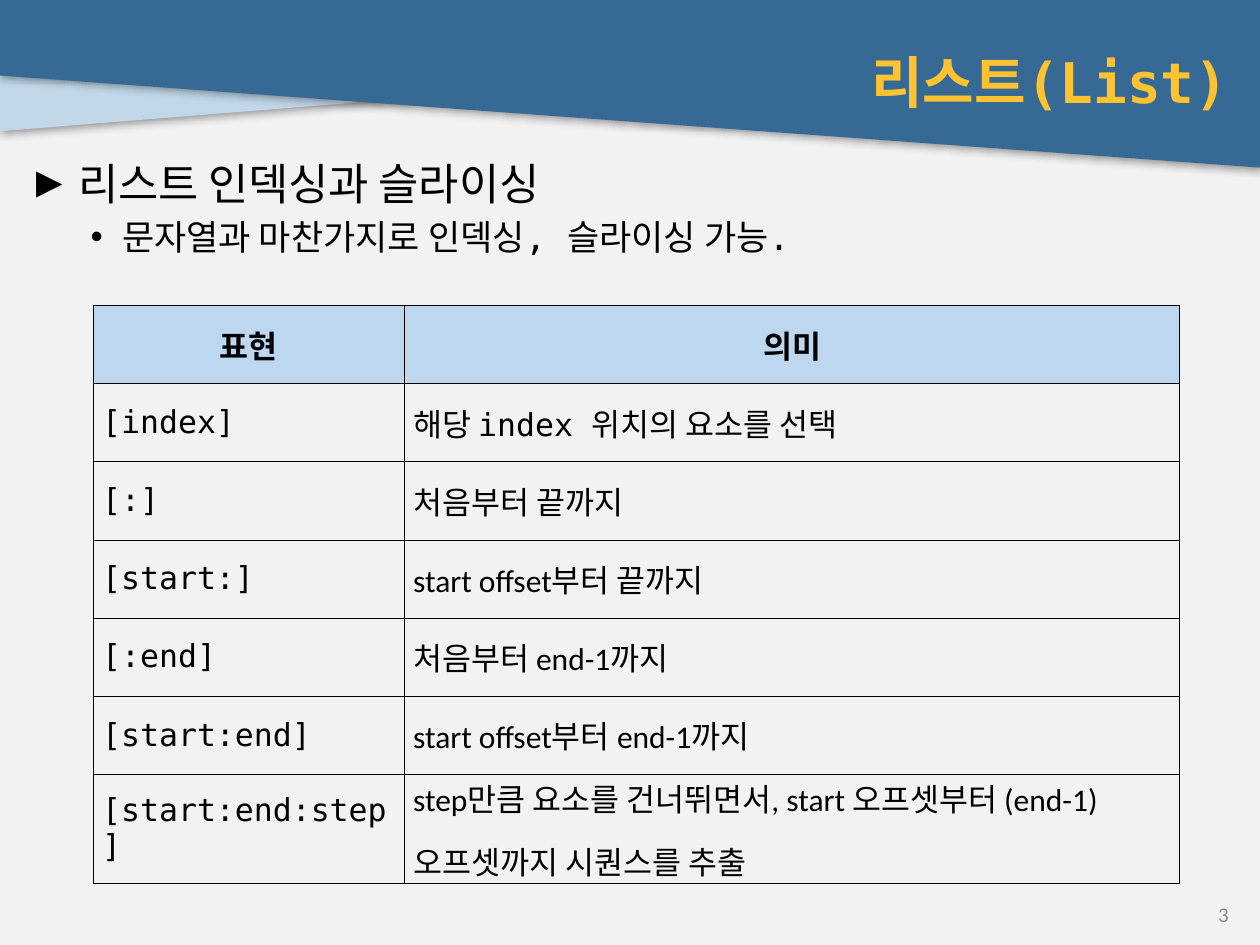
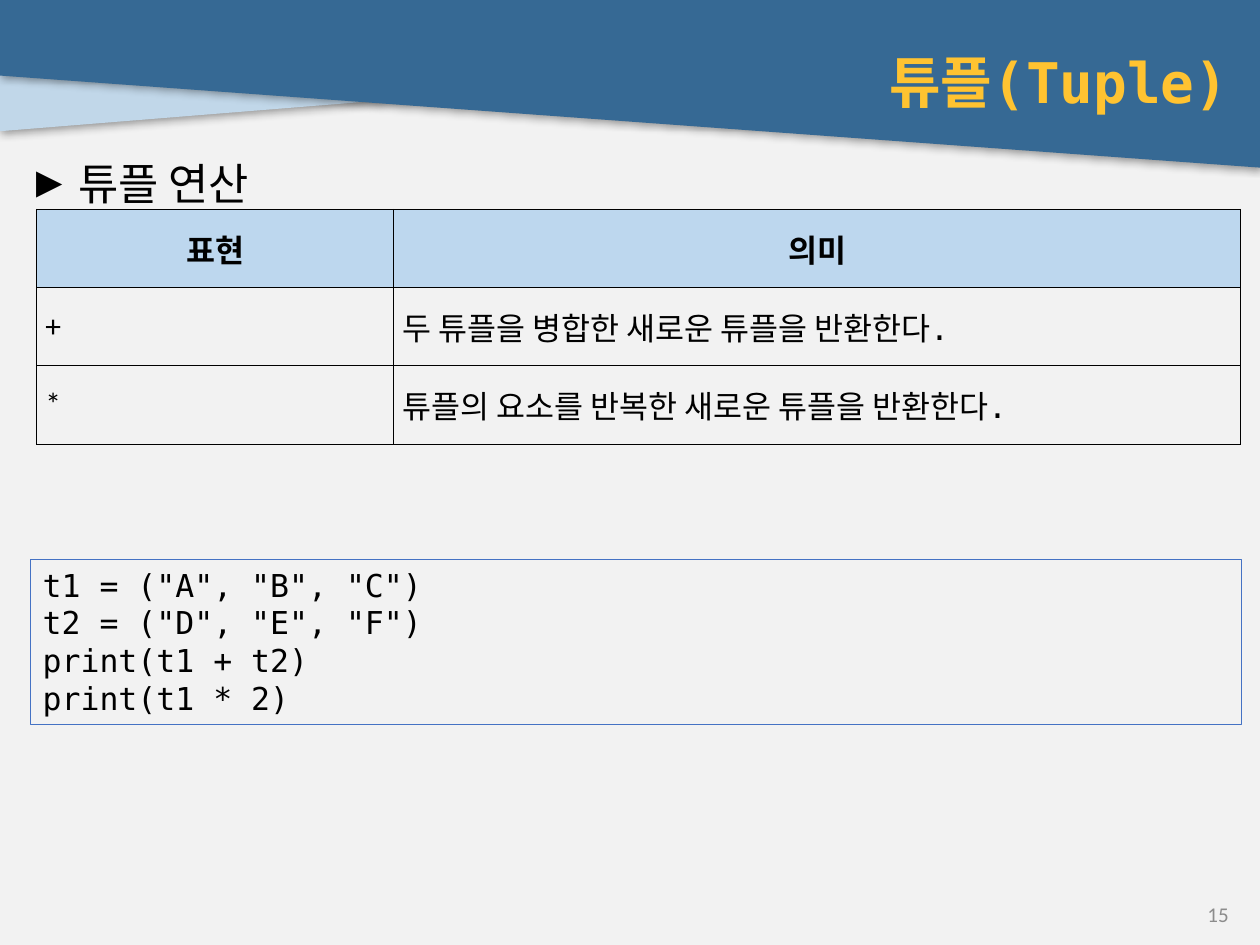
from lxml.etree import SubElement
from pptx import Presentation
from pptx.dml.color import RGBColor
from pptx.enum.shapes import MSO_SHAPE
from pptx.enum.text import MSO_ANCHOR, MSO_AUTO_SIZE, PP_ALIGN
from pptx.oxml import parse_xml
from pptx.oxml.ns import nsdecls, qn
from pptx.util import Pt

PAPER = RGBColor(0xF2, 0xF2, 0xF2)
BLUE = RGBColor(0x36, 0x69, 0x94)
PALE_BLUE = RGBColor(0xC1, 0xD7, 0xE9)
HEADER_BLUE = RGBColor(0xBD, 0xD7, 0xEE)
OUTLINE_BLUE = RGBColor(0x44, 0x72, 0xC4)
YELLOW = RGBColor(0xFF, 0xC3, 0x31)
BLACK = RGBColor(0, 0, 0)
GRAY = RGBColor(0x8C, 0x8C, 0x8C)

SANS = "Calibri"
MONO = "DejaVu Sans Mono"
HEADINGS = ("표현", "의미")
ROW_HEIGHT = 44.7
EXTRA_LINE_HEIGHT = 17.6

BANDS = (
    (PALE_BLUE, [(492.5, 3), (0, 3), (0, 75), (492.5, 35.3)]),
    (BLUE, [(0, 0), (720, 0), (720, 95.8), (0, 43.2)]),
)
LEVELS = (
    {"bullet": "►", "left": 28.8, "hanging": 28.8, "size": 25},
    {"bullet": "•", "left": 54, "hanging": 18, "size": 20},
)
SHADOW = (
    f'<a:effectLst {nsdecls("a")}><a:outerShdw blurRad="{Pt(5)}" dist="{Pt(1)}" '
    'dir="2700000" algn="tl" rotWithShape="0"><a:srgbClr val="000000">'
    '<a:alpha val="40000"/></a:srgbClr></a:outerShdw></a:effectLst>'
)


def place(shape, left, top, width, height):
    """Set the position and size of a shape in points."""
    shape.left, shape.top = Pt(left), Pt(top)
    shape.width, shape.height = Pt(width), Pt(height)


def write(paragraph, text, size, font=MONO, color=BLACK, bold=False,
          align=PP_ALIGN.LEFT, gap=0):
    """Fill a paragraph with one formatted run."""
    paragraph.alignment = align
    paragraph.space_before = paragraph.space_after = Pt(gap)
    run = paragraph.add_run()
    run.text = text
    run.font.size, run.font.name, run.font.bold = Pt(size), font, bold
    run.font.color.rgb = color


def next_paragraph(frame, index):
    """Return the first paragraph, or a new one after it."""
    return frame.add_paragraph() if index else frame.paragraphs[0]


def move_bands_to_layout(layout, slide):
    """Give the layout its background and the two slanted bands."""
    layout.background.fill.solid()
    layout.background.fill.fore_color.rgb = PAPER
    for depth, (color, corners) in enumerate(BANDS, start=2):
        points = [(Pt(x), Pt(y)) for x, y in corners]
        builder = slide.shapes.build_freeform(*points[0])
        builder.add_line_segments(points[1:], close=True)
        band = builder.convert_to_shape()
        band.fill.solid()
        band.fill.fore_color.rgb = color
        band.line.fill.background()
        band.element.spPr.append(parse_xml(SHADOW))
        layout.shapes.element.insert(depth, band.element)


def add_title(slide, text):
    """Write the right-aligned title on the blue band."""
    title = slide.shapes.title
    place(title, 17.3, 17.3, 692, 58.3)
    title.text_frame.vertical_anchor = MSO_ANCHOR.MIDDLE
    title.text_frame.auto_size = MSO_AUTO_SIZE.NONE
    write(title.text_frame.paragraphs[0], text, 32, color=YELLOW, bold=True,
          align=PP_ALIGN.RIGHT, gap=2)


def add_outline(slide, *lines):
    """Write bulleted lines, each one level below the last."""
    body = slide.placeholders[1]
    place(body, 8.6, 85.7, 700.6, 419)
    body.text_frame.auto_size = MSO_AUTO_SIZE.NONE
    for level, (text, style) in enumerate(zip(lines, LEVELS)):
        paragraph = next_paragraph(body.text_frame, level)
        paragraph.level = level
        write(paragraph, text, style["size"], gap=2)
        properties = paragraph._p.get_or_add_pPr()
        properties.set("marL", str(Pt(style["left"])))
        properties.set("indent", str(-Pt(style["hanging"])))
        SubElement(properties, qn("a:buChar"), char=style["bullet"])


def add_page_number(slide, number):
    """Write the page number in the lower right corner."""
    footer = slide.shapes.add_textbox(Pt(547.2), Pt(513.4), Pt(162), Pt(18))
    footer.text_frame.word_wrap = True
    footer.text_frame.vertical_anchor = MSO_ANCHOR.MIDDLE
    write(footer.text_frame.paragraphs[0], str(number), 12, SANS, GRAY,
          align=PP_ALIGN.RIGHT)


def fill_cell(cell, text, font, align, heading=False):
    """Write a bordered table cell, one paragraph per line."""
    cell.vertical_anchor = MSO_ANCHOR.MIDDLE
    cell.margin_left = cell.margin_right = Pt(5)
    cell.margin_top = cell.margin_bottom = 0
    for index, line in enumerate(text.split("\n")):
        write(next_paragraph(cell.text_frame, index), line, 18, font,
              bold=heading, align=align, gap=5)
    properties = cell._tc.get_or_add_tcPr()
    for side in ("lnL", "lnR", "lnT", "lnB"):
        border = SubElement(properties, qn(f"a:{side}"), w=str(Pt(0.25)))
        SubElement(SubElement(border, qn("a:solidFill")), qn("a:srgbClr"),
                   val=str(BLACK))
    if heading:
        cell.fill.solid()
        cell.fill.fore_color.rgb = HEADER_BLUE
    else:
        cell.fill.background()


def add_meanings(slide, left, top, widths, rows, key_font, key_align):
    """Add a table of expressions and meanings, with taller multi-line rows."""
    heights = [ROW_HEIGHT] + [
        ROW_HEIGHT + EXTRA_LINE_HEIGHT * meaning.count("\n")
        for _, meaning, _ in rows]
    table = slide.shapes.add_table(
        len(heights), 2, Pt(left), Pt(top), Pt(sum(widths)),
        Pt(sum(heights))).table
    table.first_row = table.horz_banding = False
    for column, width in zip(table.columns, widths):
        column.width = Pt(width)
    for row, height in zip(table.rows, heights):
        row.height = Pt(height)
    for column, heading in enumerate(HEADINGS):
        fill_cell(table.cell(0, column), heading, SANS, PP_ALIGN.CENTER, True)
    for index, (key, meaning, font) in enumerate(rows, start=1):
        fill_cell(table.cell(index, 0), key, key_font, key_align)
        fill_cell(table.cell(index, 1), meaning, font, PP_ALIGN.JUSTIFY)


def add_code(slide, lines):
    """Add an outlined box of code."""
    box = slide.shapes.add_shape(MSO_SHAPE.RECTANGLE, Pt(17.3), Pt(319.7),
                                 Pt(692), Pt(94.5))
    box.shadow.inherit = False
    box.fill.background()
    box.line.color.rgb = OUTLINE_BLUE
    box.line.width = Pt(0.75)
    frame = box.text_frame
    frame.word_wrap = True
    frame.auto_size = MSO_AUTO_SIZE.SHAPE_TO_FIT_TEXT
    frame.vertical_anchor = MSO_ANCHOR.TOP
    for index, line in enumerate(lines):
        write(next_paragraph(frame, index), line, 18)


def build_list_slide(slide):
    """Explain list indexing and slicing."""
    add_title(slide, "리스트(List)")
    add_outline(slide, "리스트 인덱싱과 슬라이싱",
                "문자열과 마찬가지로 인덱싱, 슬라이싱 가능.")
    add_page_number(slide, 3)
    add_meanings(slide, 53.4, 174.4, (177.7, 443), [
        ("[index]", "해당 index 위치의 요소를 선택", MONO),
        ("[:]", "처음부터 끝까지", SANS),
        ("[start:]", "start offset부터 끝까지", SANS),
        ("[:end]", "처음부터 end-1까지", SANS),
        ("[start:end]", "start offset부터 end-1까지", SANS),
        ("[start:end:step]",
         "step만큼 요소를 건너뛰면서, start 오프셋부터 (end-1)\n"
         "오프셋까지 시퀀스를 추출", SANS),
    ], MONO, PP_ALIGN.JUSTIFY)


def build_tuple_slide(slide):
    """Explain tuple operators with an example."""
    add_title(slide, "튜플(Tuple)")
    add_outline(slide, "튜플 연산")
    add_page_number(slide, 15)
    add_meanings(slide, 20.9, 119.5, (204, 484), [
        ("+", "두 튜플을 병합한 새로운 튜플을 반환한다.", MONO),
        ("*", "튜플의 요소를 반복한 새로운 튜플을 반환한다.", MONO),
    ], SANS, PP_ALIGN.LEFT)
    add_code(slide, ['t1 = ("A", "B", "C")', 't2 = ("D", "E", "F")',
                     "print(t1 + t2)", "print(t1 * 2)"])


def main():
    """Build and save the presentation."""
    deck = Presentation()
    deck.slide_width, deck.slide_height = Pt(720), Pt(540)
    layout = deck.slide_layouts[1]
    list_slide, tuple_slide = (deck.slides.add_slide(layout) for _ in range(2))
    move_bands_to_layout(layout, list_slide)
    build_list_slide(list_slide)
    build_tuple_slide(tuple_slide)
    deck.save("out.pptx")


main()
